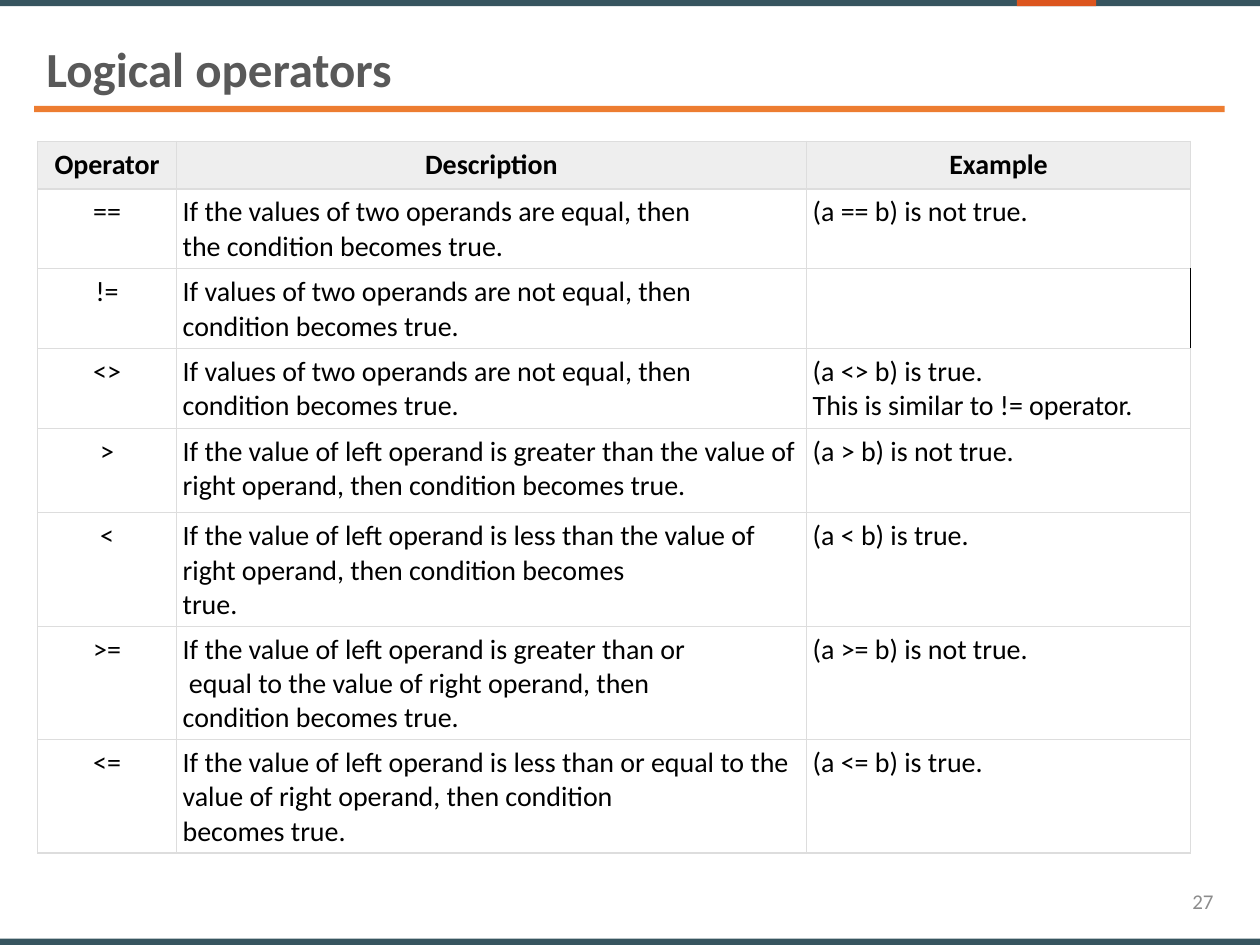
from dataclasses import dataclass

from lxml import etree
from pptx import Presentation
from pptx.dml.color import RGBColor
from pptx.enum.shapes import MSO_SHAPE
from pptx.enum.text import MSO_ANCHOR, PP_ALIGN
from pptx.oxml.ns import qn
from pptx.util import Inches, Pt

RECTANGLE = MSO_SHAPE.RECTANGLE
TOP, MIDDLE = MSO_ANCHOR.TOP, MSO_ANCHOR.MIDDLE
LEFT, CENTER, RIGHT = PP_ALIGN.LEFT, PP_ALIGN.CENTER, PP_ALIGN.RIGHT

FONT = "Calibri"
COLORS = {
    "teal": "37555F",
    "accent": "DC551E",
    "rule": "ED7D31",
    "title": "595959",
    "number": "8C8C8C",
    "text": "000000",
    "header": "EEEEEE",
    "grid": "DDDDDD",
}
BORDER_SIDES = ("a:lnL", "a:lnR", "a:lnT", "a:lnB")


@dataclass
class Bar:
    left: float
    top: float
    width: float
    height: float
    color: str


@dataclass
class Label:
    text: str
    left: float
    top: float
    width: float
    height: float
    size: int
    color: str
    bold: bool = False
    align: PP_ALIGN = LEFT
    anchor: MSO_ANCHOR = TOP
    line_spacing: float = 1.0


@dataclass
class Operator:
    symbol: str
    description: str
    example: str
    height: float


BARS = [
    Bar(-0.51, -0.01, 10.99, 0.06, "teal"),
    Bar(8.07, -0.01, 0.63, 0.06, "accent"),
    Bar(-0.51, 7.45, 10.99, 0.06, "teal"),
    Bar(0.27, 0.84, 9.45, 0.05, "rule"),
]
LABELS = [
    Label("Logical operators", 0.27, 0.31, 9.45, 0.53, 28, "title", bold=True, line_spacing=0.9),
    Label("27", 7.48, 6.95, 2.25, 0.4, 12, "number", align=RIGHT, anchor=MIDDLE),
]
COLUMN_WIDTHS = (1.1, 5, 3.05)
NOT_EQUAL = "If values of two operands are not equal, then \vcondition becomes true."
ROWS = [
    Operator("Operator", "Description", "Example", 0.38),
    Operator("==", "If the values of two operands are equal, then \vthe condition becomes true.",
             "(a == b) is not true.", 0.52),
    Operator("!=", NOT_EQUAL, "", 0.52),
    Operator("<>", NOT_EQUAL, "(a <> b) is true.\nThis is similar to != operator.", 0.52),
    Operator(">", "If the value of left operand is greater than the value of right operand, "
             "then condition becomes true.", "(a > b) is not true.", 0.67),
    Operator("<", "If the value of left operand is less than the value of right operand, "
             "then condition becomes \vtrue.", "(a < b) is true.", 0.67),
    Operator(">=", "If the value of left operand is greater than or\v equal to the value of "
             "right operand, then \vcondition becomes true.", "(a >= b) is not true.", 0.82),
    Operator("<=", "If the value of left operand is less than or equal to the value of right "
             "operand, then condition \vbecomes true.", "(a <= b) is true.", 0.67),
]


def format_text(text_frame, size: int, color: str, bold: bool, align: PP_ALIGN) -> None:
    for paragraph in text_frame.paragraphs:
        paragraph.alignment = align
        for run in paragraph.runs:
            run.font.name = FONT
            run.font.size = Pt(size)
            run.font.bold = bold
            run.font.color.rgb = RGBColor.from_string(COLORS[color])


def add_bar(slide, bar: Bar) -> None:
    shape = slide.shapes.add_shape(
        RECTANGLE, Inches(bar.left), Inches(bar.top), Inches(bar.width), Inches(bar.height))
    shape.shadow.inherit = False
    shape.fill.solid()
    shape.fill.fore_color.rgb = RGBColor.from_string(COLORS[bar.color])
    shape.line.fill.background()


def add_label(slide, label: Label) -> None:
    text_frame = slide.shapes.add_textbox(
        Inches(label.left), Inches(label.top), Inches(label.width), Inches(label.height)).text_frame
    text_frame.word_wrap = True
    text_frame.vertical_anchor = label.anchor
    text_frame.text = label.text
    text_frame.paragraphs[0].line_spacing = label.line_spacing
    format_text(text_frame, label.size, label.color, label.bold, label.align)


def set_borders(cell, right_color: str) -> None:
    properties = cell._tc.get_or_add_tcPr()
    for position, side in enumerate(BORDER_SIDES):
        color = right_color if side == "a:lnR" else "grid"
        line = etree.Element(qn(side), w=str(Pt(0.75)))
        fill = etree.SubElement(line, qn("a:solidFill"))
        etree.SubElement(fill, qn("a:srgbClr"), val=COLORS[color])
        properties.insert(position, line)


def fill_cell(cell, text: str, is_header: bool, align: PP_ALIGN) -> None:
    cell.margin_left = cell.margin_right = Inches(0.05)
    cell.margin_top = cell.margin_bottom = Inches(0.05)
    cell.text_frame.text = text
    format_text(cell.text_frame, 16, "text", is_header, align)
    if is_header:
        cell.fill.solid()
        cell.fill.fore_color.rgb = RGBColor.from_string(COLORS["header"])
    else:
        cell.fill.background()
    set_borders(cell, "grid" if text else "text")


def add_operator_table(slide, operators: list[Operator]) -> None:
    table = slide.shapes.add_table(
        len(operators), len(COLUMN_WIDTHS), Inches(0.3), Inches(1.12),
        Inches(sum(COLUMN_WIDTHS)), Inches(sum(row.height for row in operators))).table
    table.horz_banding = False
    for column, width in zip(table.columns, COLUMN_WIDTHS):
        column.width = Inches(width)
    for row_index, operator in enumerate(operators):
        table.rows[row_index].height = Inches(operator.height)
        is_header = row_index == 0
        texts = (operator.symbol, operator.description, operator.example)
        for column_index, text in enumerate(texts):
            align = CENTER if is_header or column_index == 0 else LEFT
            fill_cell(table.cell(row_index, column_index), text, is_header, align)


def main() -> None:
    presentation = Presentation()
    presentation.slide_width = Inches(10)
    presentation.slide_height = Inches(7.5)
    slide = presentation.slides.add_slide(presentation.slide_layouts[6])
    for bar in BARS:
        add_bar(slide, bar)
    for label in LABELS:
        add_label(slide, label)
    add_operator_table(slide, ROWS)
    presentation.save("out.pptx")


if __name__ == "__main__":
    main()
